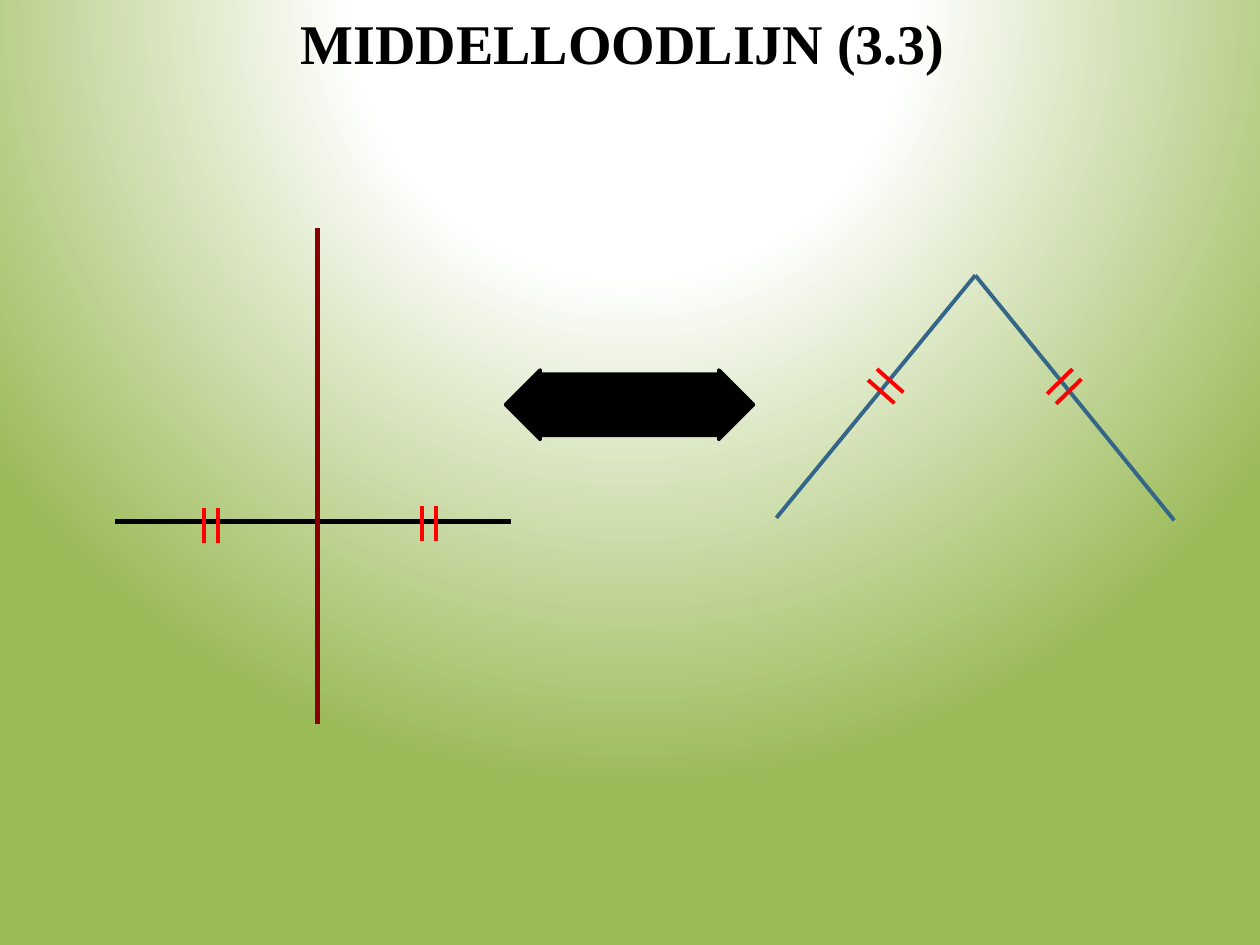
from collections import namedtuple
from dataclasses import dataclass

from lxml.etree import SubElement
from pptx import Presentation
from pptx.dml.color import RGBColor
from pptx.enum.shapes import MSO_CONNECTOR, MSO_SHAPE
from pptx.enum.text import MSO_ANCHOR, PP_ALIGN
from pptx.oxml import parse_xml
from pptx.oxml.ns import nsdecls, qn
from pptx.util import Cm, Pt

Box = namedtuple("Box", "left top width height")


@dataclass(frozen=True)
class Theme:
    black: str = "000000"
    mark: str = "FF0000"
    bisector: str = "880000"
    leg: str = "336688"
    glow: str = "FFFFFF"
    ground: str = "9BBB59"
    font: str = "Times New Roman"
    title_size: int = 32
    bold_line: float = 3
    thin_line: float = 2.25
    outline: float = 2


THEME = Theme()


def apply_format(target, values):
    for name, value in values.items():
        setattr(target, name, value)


def paint_background(page):
    page.background.fill.gradient()
    old_fill = page.element.find(".//" + qn("a:gradFill"))
    stops = "".join(
        f'<a:gs pos="{position * 1000}"><a:srgbClr val="{color}"/></a:gs>'
        for position, color in ((0, THEME.glow), (35, THEME.glow), (100, THEME.ground))
    )
    new_fill = parse_xml(
        f'<a:gradFill {nsdecls("a")} rotWithShape="1"><a:gsLst>{stops}</a:gsLst>'
        '<a:path path="circle">'
        '<a:fillToRect l="50000" t="-80000" r="50000" b="180000"/>'
        "</a:path></a:gradFill>"
    )
    old_fill.getparent().replace(old_fill, new_fill)


def draw_line(shapes, box, start, end, color, width):
    ends = [Cm(value) for x, y in (start, end) for value in (box.left + x, box.top + y)]
    line = shapes.add_connector(MSO_CONNECTOR.STRAIGHT, *ends)
    line.line.color.rgb = RGBColor.from_string(color)
    line.line.width = Pt(width)
    SubElement(line.element.spPr, qn("a:effectLst"))


def draw_mark_pair(page, box, start, stroke, gap):
    group = page.shapes.add_group_shape()
    for index in range(2):
        x, y = start[0] + index * gap[0], start[1] + index * gap[1]
        end = (x + stroke[0], y + stroke[1])
        draw_line(group.shapes, box, (x, y), end, THEME.mark, THEME.thin_line)


def draw_equivalence_arrow(page, box):
    arrow = page.shapes.add_shape(
        MSO_SHAPE.UP_DOWN_ARROW,
        Cm(box.left + (box.width - box.height) / 2),
        Cm(box.top + (box.height - box.width) / 2),
        Cm(box.height),
        Cm(box.width),
    )
    arrow.rotation = 90
    arrow.shadow.inherit = False
    arrow.adjustments[0] = 0.27
    arrow.adjustments[1] = 0.88
    arrow.fill.solid()
    for color_format in (arrow.fill.fore_color, arrow.line.color):
        color_format.rgb = RGBColor.from_string(THEME.black)
    arrow.line.width = Pt(THEME.outline)
    SubElement(arrow.line._get_or_add_ln(), qn("a:round"))


def draw_bisected_segment(page, box):
    base, middle = 5.92, 4.09
    draw_line(page.shapes, box, (0, base), (box.width, base), THEME.black, THEME.bold_line)
    for start in ((6.2, 5.6), (1.8, 5.65)):
        draw_mark_pair(page, box, start, (0, 0.7), (0.28, 0))
    draw_line(page.shapes, box, (middle, box.height), (middle, 0),
              THEME.bisector, THEME.bold_line)


def draw_equal_legs(page, box):
    apex = (box.width / 2, 0)
    legs = (
        ((0, box.height - 0.05), (1.85, 2.11), (0.53, 0.47), (0.18, -0.22)),
        ((box.width, box.height), (5.64, 2.59), (0.51, -0.5), (-0.18, -0.2)),
    )
    for foot, start, stroke, gap in legs:
        draw_line(page.shapes, box, apex, foot, THEME.leg, THEME.thin_line)
        draw_mark_pair(page, box, start, stroke, gap)


def write_title(page, box, text):
    title = page.shapes.add_textbox(*(Cm(value) for value in box))
    apply_format(title.text_frame, {"word_wrap": True, "vertical_anchor": MSO_ANCHOR.MIDDLE})
    para = title.text_frame.paragraphs[0]
    para.alignment = PP_ALIGN.CENTER
    span = para.add_run()
    span.text = text
    apply_format(span.font, {"name": THEME.font, "size": Pt(THEME.title_size), "bold": True})
    span.font.color.rgb = RGBColor.from_string(THEME.black)


def main():
    deck = Presentation()
    apply_format(deck, {"slide_width": Cm(25.4), "slide_height": Cm(19.05)})
    page = deck.slides.add_slide(deck.slide_layouts[6])
    paint_background(page)
    draw_equivalence_arrow(page, Box(10.19, 7.46, 5, 1.4))
    draw_bisected_segment(page, Box(2.31, 4.6, 8, 10))
    draw_equal_legs(page, Box(15.65, 5.55, 8.02, 4.94))
    write_title(page, Box(0, 0, 25.4, 1.7), "MIDDELLOODLIJN (3.3) ")
    deck.save("out.pptx")


if __name__ == "__main__":
    main()
